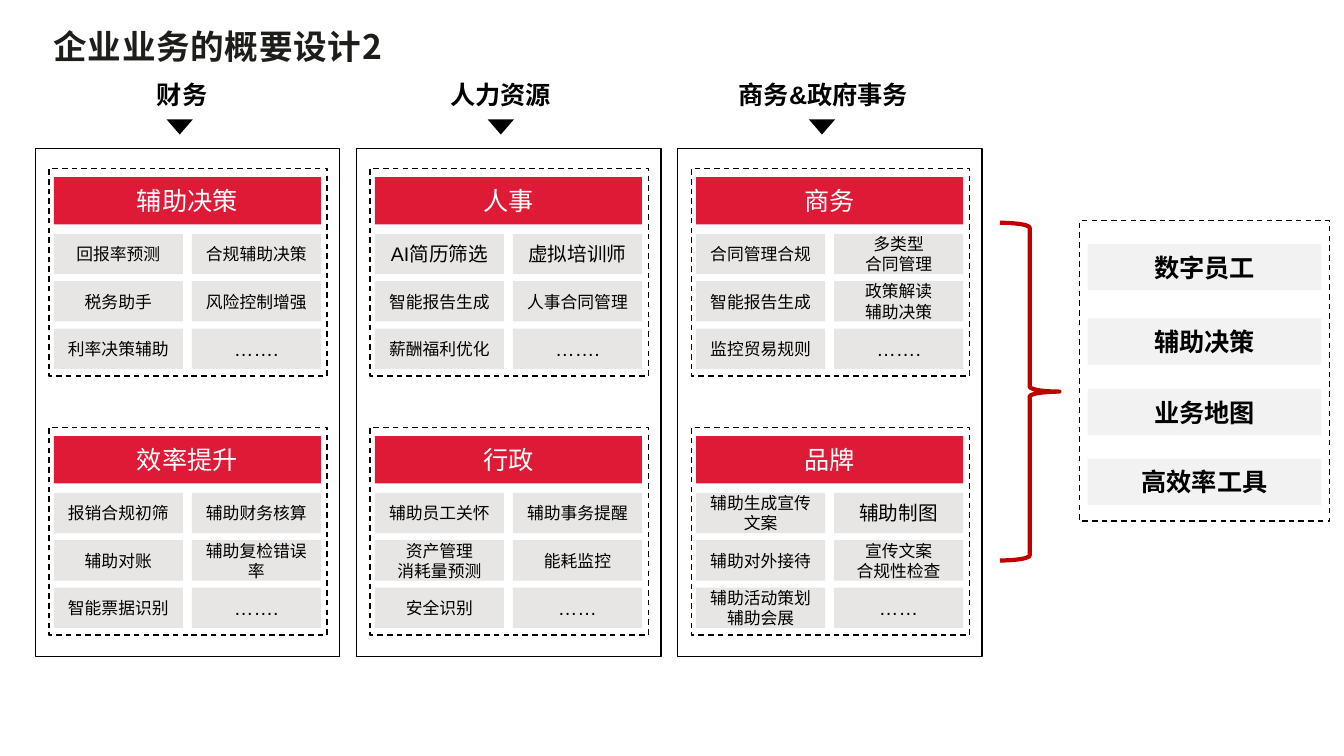
from itertools import product
from lxml.etree import SubElement
from pptx import Presentation
from pptx.dml.color import RGBColor
from pptx.enum.dml import MSO_LINE
from pptx.enum.shapes import MSO_SHAPE
from pptx.enum.text import MSO_ANCHOR, MSO_AUTO_SIZE, PP_ALIGN
from pptx.oxml.ns import qn
from pptx.util import Pt

TITLE = "企业业务的概要设计2"
COLUMNS = [
    ("财务", 105, 52, [
        ("辅助决策", ["回报率预测", "合规辅助决策", "税务助手",
                  "风险控制增强", "利率决策辅助", "……."]),
        ("效率提升", ["报销合规初筛", "辅助财务核算", "辅助对账",
                  "辅助复检错误率", "智能票据识别", "……."]),
    ]),
    ("人力资源", 314.6, 106, [
        ("人事", ["AI简历筛选", "虚拟培训师", "智能报告生成",
                "人事合同管理", "薪酬福利优化", "……."]),
        ("行政", ["辅助员工关怀", "辅助事务提醒", "资产管理\n消耗量预测",
                "能耗监控", "安全识别", "……"]),
    ]),
    ("商务&政府事务", 520.6, 150, [
        ("商务", ["合同管理合规", "多类型\n合同管理", "智能报告生成",
                "政策解读\n辅助决策", "监控贸易规则", "……."]),
        ("品牌", ["辅助生成宣传文案", "辅助制图", "辅助对外接待",
                "宣传文案\n合规性检查", "辅助活动策划\n辅助会展", "……"]),
    ]),
]
LARGE_CELLS = {"AI简历筛选", "虚拟培训师", "辅助制图", "…….", "……"}
OUTCOMES = [("数字员工", 174.2), ("辅助决策", 227.5), ("业务地图", 277.9), ("高效率工具", 327.6)]

ARIAL, NOTO = "Arial", "Noto Sans CJK SC"
BLACK, WHITE, RED, GREY = "000000", "FFFFFF", "DE1A37", "E8E6E4"
COLUMN_PITCH, BLOCK_PITCH = 229.4, 185
CELL_PITCH_X, CELL_PITCH_Y = 98.6, 33.8


def color(value):
    return RGBColor.from_string(value)


def write(sp, text, size, fill=BLACK, bold=False, font=ARIAL, align=PP_ALIGN.CENTER):
    tf = sp.text_frame
    tf.text = text
    tf.vertical_anchor = MSO_ANCHOR.MIDDLE
    for p in tf.paragraphs:
        p.alignment = align
        for r in p.runs:
            r.font.size, r.font.bold, r.font.name = Pt(size), bold, font
            r.font.color.rgb = color(fill)
            ea = SubElement(r.font._element, qn("a:ea"))
            ea.set("typeface", ARIAL if text.startswith("…") else NOTO)


def shape(kind, x, y, w, h, fill=None, line=None, width=1, dash=False):
    sp = s.shapes.add_shape(kind, Pt(x), Pt(y), Pt(w), Pt(h))
    sp.shadow.inherit = False
    if fill:
        sp.fill.solid()
        sp.fill.fore_color.rgb = color(fill)
    else:
        sp.fill.background()
    if line:
        sp.line.color.rgb = color(line)
        sp.line.width = Pt(width)
        if dash:
            sp.line.dash_style = MSO_LINE.DASH
    else:
        sp.line.fill.background()
    return sp


def box(x, y, w, h, **style):
    return shape(MSO_SHAPE.RECTANGLE, x, y, w, h, **style)


def add_block(x, y, name, cells):
    box(x, y, 198.7, 148.3, line=BLACK, dash=True)
    write(box(x + 3.4, y + 6.3, 190.8, 33.8, fill=RED), name, 18, WHITE)
    for (row, col), text in zip(product(range(3), range(2)), cells):
        sp = box(x + 3.4 + col * CELL_PITCH_X, y + 46.8 + row * CELL_PITCH_Y,
                 92.2, 28.8, fill=GREY)
        write(sp, text, 14 if text in LARGE_CELLS else 12)


def add_column(index, heading, heading_x, heading_w, blocks):
    x = 25.2 + index * COLUMN_PITCH
    sp = s.shapes.add_textbox(Pt(heading_x), Pt(53), Pt(heading_w), Pt(29))
    sp.text_frame.word_wrap = False
    sp.text_frame.auto_size = MSO_AUTO_SIZE.SHAPE_TO_FIT_TEXT
    write(sp, heading, 18, bold=True, align=PP_ALIGN.LEFT)
    shape(MSO_SHAPE.ISOSCELES_TRIANGLE, x + 93.8, 85.3, 18.7, 10.8, fill=BLACK).rotation = 180
    box(x, 105.9, 217.5, 362.9, line=BLACK)
    for i, (name, cells) in enumerate(blocks):
        add_block(x + 9.8, 120.3 + i * BLOCK_PITCH, name, cells)


prs = Presentation()
prs.slide_width, prs.slide_height = Pt(960), Pt(540)
s = prs.slides.add_slide(prs.slide_layouts[5])

title = s.shapes.title
title.left, title.top, title.width, title.height = Pt(31), Pt(14.4), Pt(357.8), Pt(36.7)
title.text_frame.auto_size = MSO_AUTO_SIZE.NONE
write(title, TITLE, 24, "1D1D1A", True, NOTO, PP_ALIGN.LEFT)
title.text_frame.paragraphs[0].runs[0].font._element.set("spc", "50")

for index, column in enumerate(COLUMNS):
    add_column(index, *column)

shape(MSO_SHAPE.LEFT_BRACE, 714.2, 159.1, 42.5, 241.2, line="C00000", width=3).rotation = 180
box(771.1, 157.7, 178.6, 214.6, line=BLACK, dash=True)
for text, y in OUTCOMES:
    write(box(776.9, y, 167, 33.1, fill="F2F2F2"), text, 18, bold=True)

prs.save("out.pptx")
